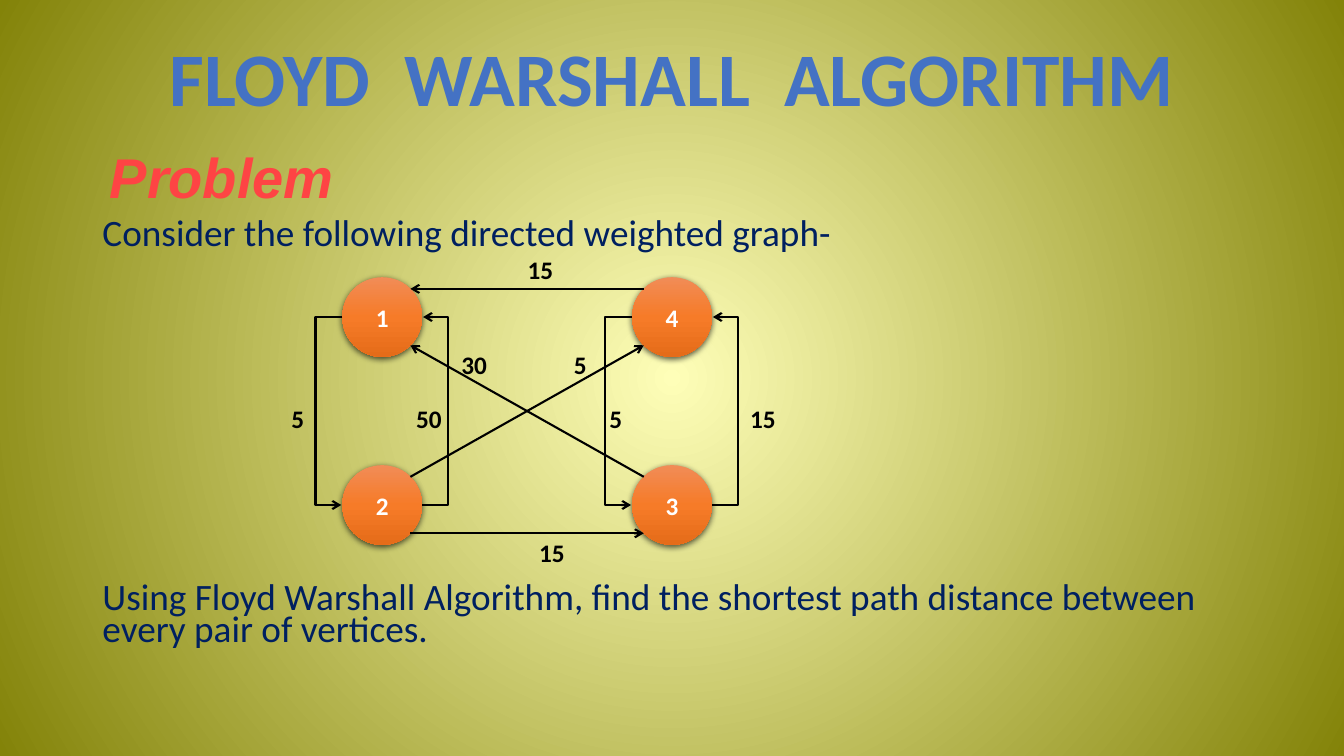
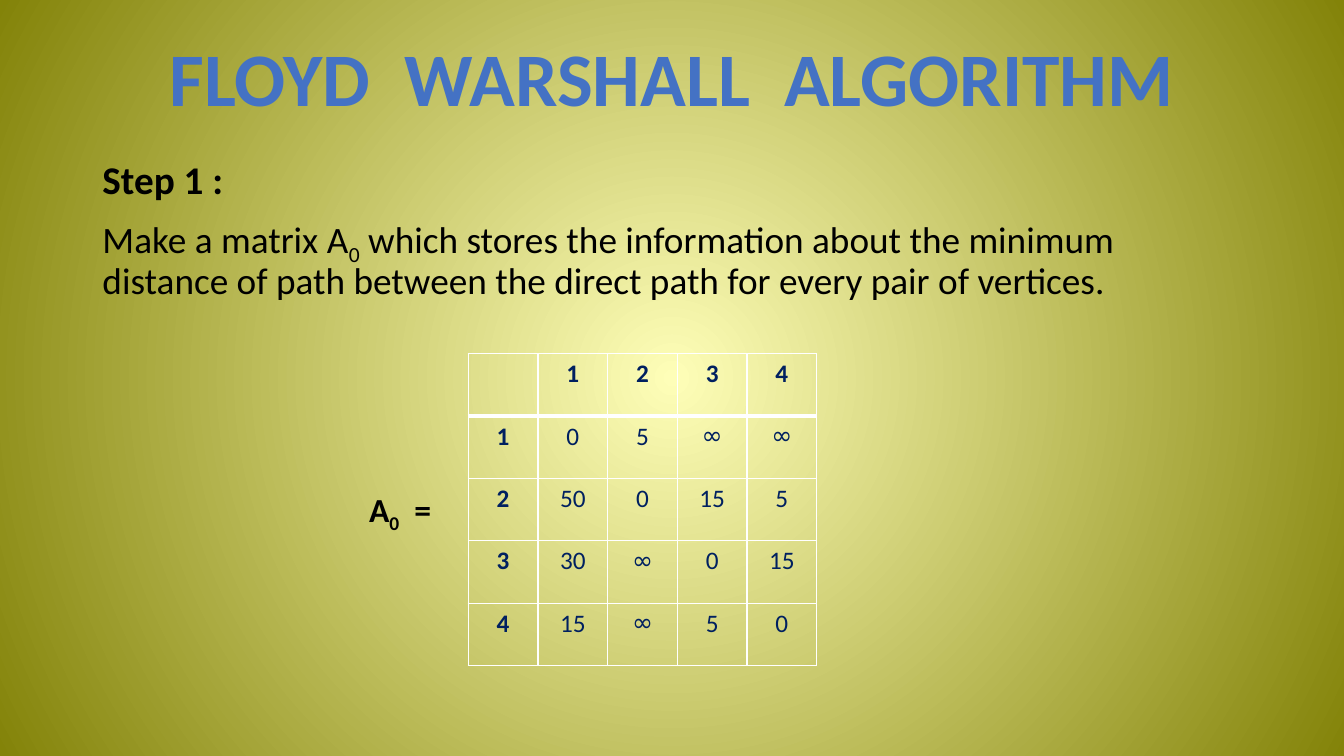
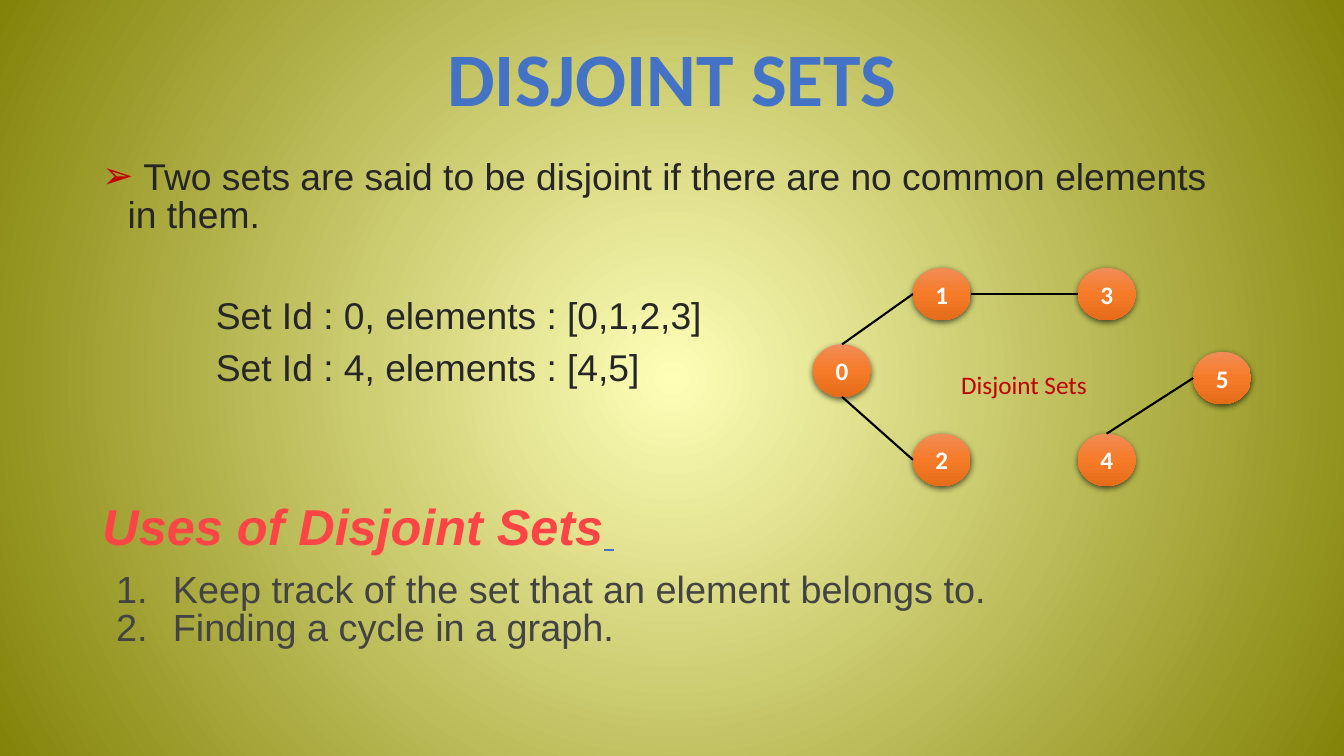
from math import cos, radians, sin

from lxml.etree import SubElement
from pptx import Presentation
from pptx.dml.color import RGBColor
from pptx.enum.shapes import MSO_CONNECTOR, MSO_SHAPE
from pptx.enum.text import MSO_ANCHOR, MSO_AUTO_SIZE, PP_ALIGN
from pptx.oxml import parse_xml
from pptx.oxml.ns import nsdecls, qn
from pptx.util import Emu, Pt

# Shared style
BLUE, RED, NAVY = "4472C4", "FE4444", "002060"
BLACK, WHITE, MAROON = "000000", "FFFFFF", "C00000"
DARK, GREY = "262626", "434343"
SANS, HEAD, SYMBOL = "Calibri", "Arial", "DejaVu Sans"
NODE_STOPS = [(0, "F18C57"), (50, "F67B28"), (100, "E56C19")]
BACK_STOPS = [(0, "FEFEB8"), (100, "838309")]
DOWN = '<a:lin ang="5400000" scaled="0"/>'
RADIAL = '<a:path path="circle"><a:fillToRect l="50000" t="50000" r="50000" b="50000"/></a:path>'

# Connection sites of an ellipse, counter-clockwise from the top
TOP, TOP_LEFT, LEFT, BOTTOM_LEFT, BOTTOM, BOTTOM_RIGHT, RIGHT, TOP_RIGHT = range(8)


def px(n):
    return Emu(round(n * 9525))


def rgb(value):
    return RGBColor.from_string(value)


def set_gradient(fill, parent, stops, direction):
    """Give a fill several colour stops."""
    fill.solid()
    solid = parent.find(".//" + qn("a:solidFill"))
    gs = "".join(f'<a:gs pos="{pos * 1000}"><a:srgbClr val="{c}"/></a:gs>' for pos, c in stops)
    solid.getparent().replace(solid, parse_xml(
        f'<a:gradFill {nsdecls("a")} rotWithShape="1"><a:gsLst>{gs}</a:gsLst>{direction}</a:gradFill>'))


class Deck:
    def __init__(self):
        self.prs = Presentation()
        self.prs.slide_width, self.prs.slide_height = px(1280), px(720)
        master = self.prs.slide_master
        set_gradient(master.background.fill, master.element.cSld, BACK_STOPS, RADIAL)

    def new_slide(self, title):
        """Add a slide with its title and return the body text frame."""
        self.s = self.prs.slides.add_slide(self.prs.slide_layouts[1])
        heading, body = self.s.shapes.title, self.s.placeholders[1]
        for sp, top, height, anchor in ((heading, 38, 81, MSO_ANCHOR.MIDDLE),
                                        (body, 148, 500, MSO_ANCHOR.TOP)):
            sp.left, sp.top, sp.width, sp.height = px(88), px(top), px(1104), px(height)
            tf = sp.text_frame
            tf.word_wrap, tf.auto_size, tf.vertical_anchor = True, MSO_AUTO_SIZE.NONE, anchor
        p = self.para(heading.text_frame, title, 54, BLUE, bold=True, before=0)
        p.alignment = PP_ALIGN.CENTER
        return body.text_frame

    def style(self, r, size, color, font=SANS, bold=False, italic=False, underline=False):
        f = r.font
        f.size, f.name, f.color.rgb = Pt(size), font, rgb(color)
        f.bold, f.italic, f.underline = bold, italic, underline

    def run(self, p, text, size, color, sub=False, **look):
        r = p.add_run()
        r.text = text
        self.style(r, size, color, **look)
        if sub:
            r.font.size = Pt(size)
            p.runs[-1]._r.get_or_add_rPr().set("baseline", "-25000")

    def para(self, tf, text, size, color, before=10, spacing=0.9, left=0, hang=0,
             bullet=None, bullet_color=None, **look):
        """Write the next paragraph of a placeholder."""
        p = tf.add_paragraph() if tf.text else tf.paragraphs[0]
        p.text = text
        self.style(p.runs[0], size, color, **look)
        p.line_spacing, p.space_before, p.space_after = spacing, Pt(before), Pt(0)
        pPr = p._p.get_or_add_pPr()
        pPr.set("marL", str(px(left)))
        pPr.set("indent", str(px(-hang)))
        if bullet_color:
            SubElement(SubElement(pPr, qn("a:buClr")), qn("a:srgbClr"), val=bullet_color)
        if bullet is None:
            SubElement(pPr, qn("a:buNone"))
        elif bullet == "1.":
            SubElement(pPr, qn("a:buFont"), typeface=HEAD)
            SubElement(pPr, qn("a:buAutoNum"), type="arabicPeriod")
        else:
            SubElement(pPr, qn("a:buFont"), typeface=SYMBOL)
            SubElement(pPr, qn("a:buChar"), char=bullet)
        return p

    def label(self, text, x, y, w, h=38, size=18, color=BLACK, bold=True):
        tf = self.s.shapes.add_textbox(px(x), px(y), px(w), px(h)).text_frame
        tf.word_wrap = False
        p = tf.paragraphs[0]
        p.text = text
        self.style(p.runs[0], size, color, bold=bold)
        return p

    def node(self, text, cx, cy, w, h):
        sp = self.s.shapes.add_shape(MSO_SHAPE.OVAL, px(cx - w / 2), px(cy - h / 2), px(w), px(h))
        set_gradient(sp.fill, sp.element.spPr, NODE_STOPS, DOWN)
        sp.line.fill.background()
        sp.shadow.inherit = False
        sp.element.spPr.find(qn("a:effectLst")).append(parse_xml(
            f'<a:outerShdw {nsdecls("a")} blurRad="57150" dist="19050" dir="5400000" algn="ctr" '
            'rotWithShape="0"><a:srgbClr val="000000"><a:alpha val="63000"/></a:srgbClr></a:outerShdw>'))
        tf = sp.text_frame
        tf.vertical_anchor = MSO_ANCHOR.MIDDLE
        p = tf.paragraphs[0]
        p.text, p.alignment = text, PP_ALIGN.CENTER
        self.style(p.runs[0], 18, WHITE, bold=True)
        return sp

    def site(self, sp, idx):
        """Place of a connection site on a node."""
        angle = radians(45 * idx)
        return (round(sp.left + sp.width / 2 * (1 - sin(angle))),
                round(sp.top + sp.height / 2 * (1 - cos(angle))))

    def edge(self, a, site_a, b, site_b, arrow=False, loop=0):
        """Join two nodes; loop is how far an elbow stands out from their sides."""
        (x1, y1), (x2, y2) = self.site(a, site_a), self.site(b, site_b)
        if loop:
            x2 = x1 + px(1 if site_a == RIGHT else -1)
        kind = MSO_CONNECTOR.ELBOW if loop else MSO_CONNECTOR.STRAIGHT
        c = self.s.shapes.add_connector(kind, x1, y1, x2, y2)
        c.line.color.rgb, c.line.width = rgb(BLACK), Pt(1.5)
        spPr = c.element.spPr
        if arrow:
            SubElement(spPr.find(qn("a:ln")), qn("a:tailEnd"), type="arrow")
        SubElement(spPr, qn("a:effectLst"))
        ends = c.element.find(".//" + qn("p:cNvCxnSpPr"))
        for tag, sp, idx in (("a:stCxn", a, site_a), ("a:endCxn", b, site_b)):
            SubElement(ends, qn(tag), id=str(sp.shape_id), idx=str(idx))
        if loop:
            guides = spPr.find(qn("a:prstGeom")).find(qn("a:avLst"))
            SubElement(guides, qn("a:gd"), name="adj1", fmla=f"val {loop * 100000}")
            if site_a == LEFT:  # a half turn with a vertical flip opens to the left
                xfrm = spPr.find(qn("a:xfrm"))
                xfrm.attrib.pop("flipH", None)
                xfrm.set("rot", "10800000")
                xfrm.set("flipV", "1")

    def matrix(self, rows, x, y, w, h):
        """Table with headings in the first row and column."""
        n = len(rows)
        table = self.s.shapes.add_table(n, n, px(x), px(y), px(w), px(h)).table
        table.first_row = table.horz_banding = False
        for i, row in enumerate(rows):
            for j, text in enumerate(row):
                cell = table.cell(i, j)
                tcPr = cell._tc.get_or_add_tcPr()
                for side in "LRTB":
                    thick = (i, side) in ((0, "B"), (1, "T"))
                    ln = SubElement(tcPr, qn("a:ln" + side), w=str(Pt(3 if thick else 1)))
                    SubElement(SubElement(ln, qn("a:solidFill")), qn("a:srgbClr"), val=WHITE)
                cell.fill.background()
                p = cell.text_frame.paragraphs[0]
                p.text, p.alignment = text, PP_ALIGN.CENTER
                for r in p.runs:
                    self.style(r, 18, NAVY, SYMBOL if text == "∞" else SANS, bold=0 in (i, j))


def problem_slide(deck):
    tf = deck.new_slide("FLOYD  WARSHALL  ALGORITHM")
    deck.para(tf, "Problem", 40, RED, spacing=0.7, left=7, font=HEAD, bold=True, italic=True)
    deck.para(tf, "Consider the following directed weighted graph-", 26.6, NAVY, spacing=0.7)
    deck.para(tf, "Using Floyd Warshall Algorithm, find the shortest path distance between "
              "every pair of vertices.", 26.6, NAVY, before=238, spacing=0.7)

    # Graph
    places = {"1": (364, 302), "3": (640, 481), "4": (640, 302), "2": (364, 481)}
    nodes = {name: deck.node(name, x, y, 76, 76) for name, (x, y) in places.items()}
    for upper, lower in ("12", "43"):
        deck.edge(nodes[upper], LEFT, nodes[lower], LEFT, arrow=True, loop=26)
        deck.edge(nodes[lower], RIGHT, nodes[upper], RIGHT, arrow=True, loop=25)
    for a, site_a, b, site_b in (("4", TOP_LEFT, "1", TOP_RIGHT),
                                 ("2", BOTTOM_RIGHT, "3", BOTTOM_LEFT),
                                 ("2", TOP_RIGHT, "4", BOTTOM_LEFT),
                                 ("3", TOP_LEFT, "1", BOTTOM_RIGHT)):
        deck.edge(nodes[a], site_a, nodes[b], site_b, arrow=True)

    # Weights
    for text, x, y in (("15", 493, 237), ("15", 504, 507), ("5", 268, 379), ("5", 571, 379),
                       ("5", 537, 328), ("30", 430, 328), ("50", 387, 379), ("15", 705, 379)):
        deck.label(text, x, y, 20 + 12 * len(text))


def matrix_slide(deck):
    tf = deck.new_slide("FLOYD  WARSHALL  ALGORITHM")
    deck.para(tf, "Step 1 :", 28, BLACK, bold=True)
    p = deck.para(tf, "Make a matrix A", 26.6, BLACK)
    deck.run(p, "0", 26.6, BLACK, sub=True)
    deck.run(p, " which stores the information about the minimum distance of path between "
             "the direct path for every pair of vertices.", 26.6, BLACK)

    # Distance matrix
    p = deck.label("A", 342, 461, 80, 48, size=24)
    deck.run(p, "0", 24, BLACK, sub=True, bold=True)
    deck.run(p, "  =", 24, BLACK, bold=True)
    deck.matrix([["", "1", "2", "3", "4"],
                 ["1", "0", "5", "∞", "∞"],
                 ["2", "50", "0", "15", "5"],
                 ["3", "30", "∞", "0", "15"],
                 ["4", "15", "∞", "5", "0"]], 446, 337, 332, 297)


def disjoint_slide(deck):
    tf = deck.new_slide("DISJOINT SETS")
    look = dict(spacing=0.84, font=HEAD)
    deck.para(tf, " Two sets are said to be disjoint if there are no common elements in them.",
              26.6, DARK, left=24, hang=24, bullet="➢", bullet_color=MAROON, **look)
    for text, before in (("Set Id : 0, elements : [0,1,2,3]", 46),
                         ("Set Id : 4, elements : [4,5]", 10)):
        deck.para(tf, text, 26.6, DARK, before=before, left=108, **look)
    p = deck.para(tf, "Uses of Disjoint Sets", 36, RED, before=83, bold=True, italic=True, **look)
    deck.run(p, " ", 26.6, BLUE, font=HEAD, bold=True, underline=True)
    for text, before in (("Keep track of the set that an element belongs to.", 12),
                         ("Finding a cycle in a graph.", 0)):
        deck.para(tf, text, 27, GREY, before=before, left=67, hang=54,
                  bullet="1.", bullet_color=GREY, **look)

    # Graph of the two sets
    places = {"0": (802, 353), "5": (1164, 360), "3": (1054, 280),
              "1": (897, 280), "2": (897, 438), "4": (1054, 438)}
    nodes = {name: deck.node(name, x, y, 55, 50) for name, (x, y) in places.items()}
    for a, site_a, b, site_b in (("0", TOP, "1", LEFT), ("0", BOTTOM, "2", LEFT),
                                 ("1", RIGHT, "3", LEFT), ("4", TOP, "5", LEFT)):
        deck.edge(nodes[a], site_a, nodes[b], site_b)
    deck.label("Disjoint Sets", 906, 347, 139, color=MAROON, bold=False)


def main():
    deck = Deck()
    problem_slide(deck)
    matrix_slide(deck)
    disjoint_slide(deck)
    deck.prs.save("out.pptx")


if __name__ == "__main__":
    main()
